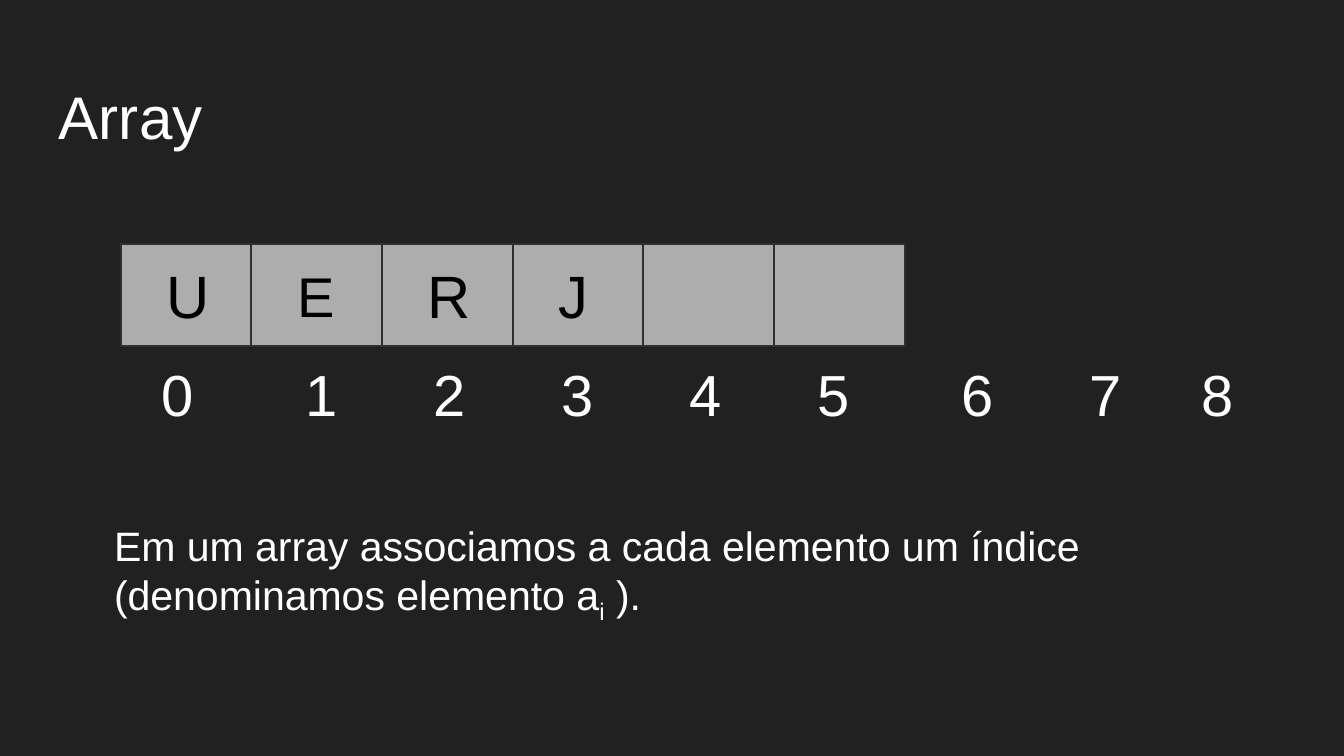
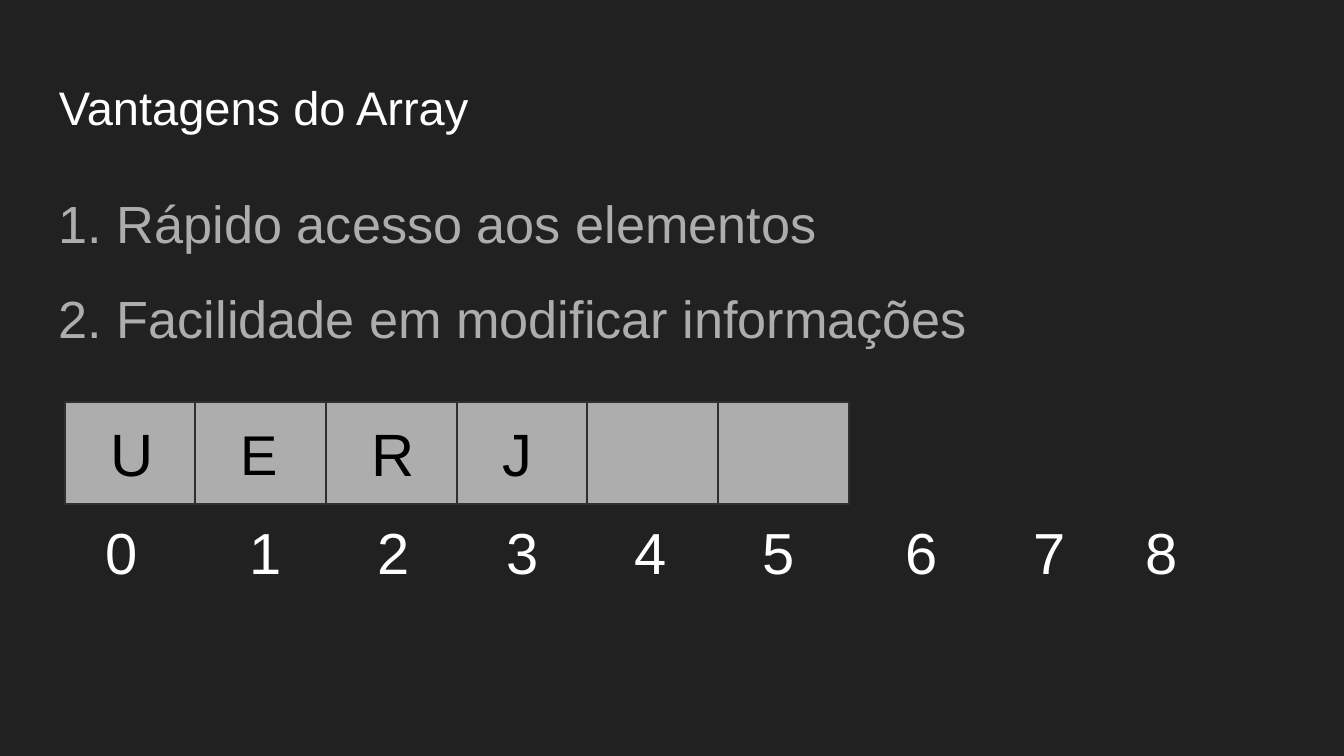
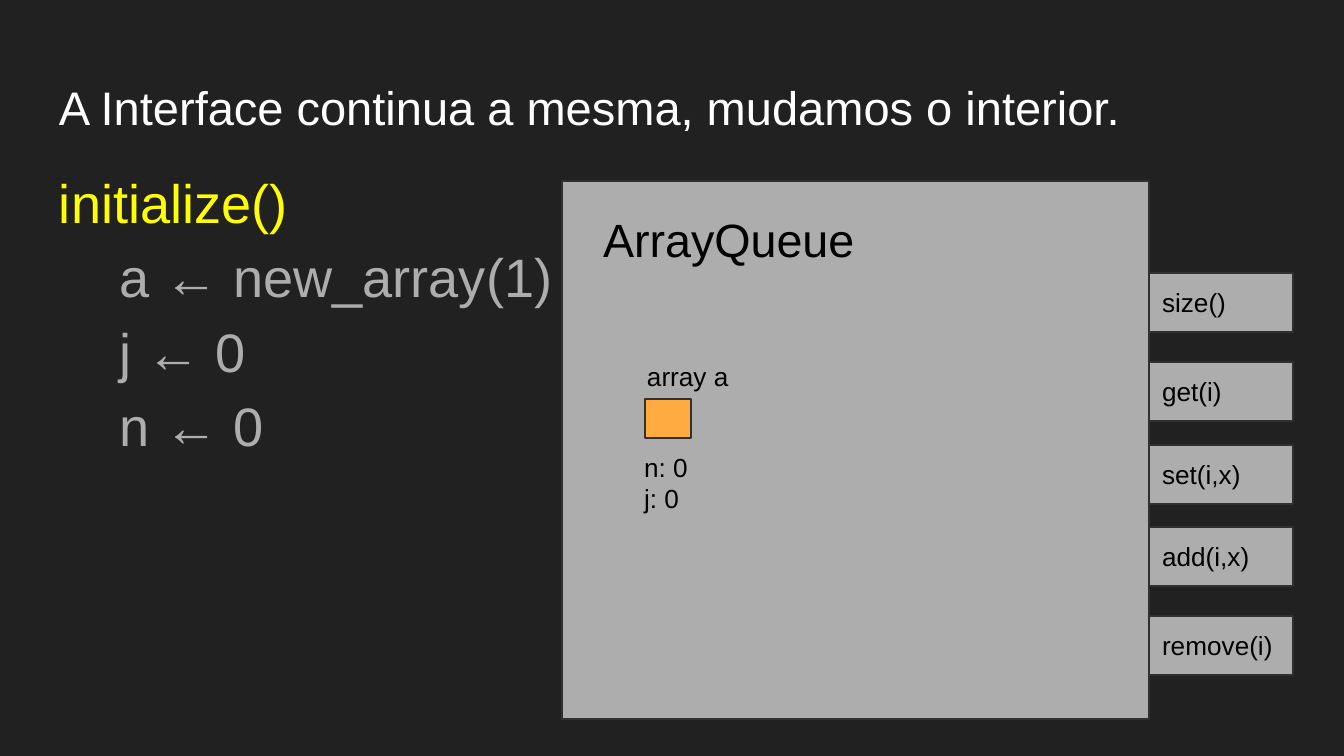
from lxml import etree
from pptx import Presentation
from pptx import util as u
from pptx.dml.color import RGBColor
from pptx.enum import shapes, text
from pptx.oxml import ns

PX = 914400 / 134.4
FONT = "Arial"
INSET = 13
COLORS = {
    "back": "212121",
    "white": "FFFFFF",
    "gray": "ADADAD",
    "edge": "303030",
    "black": "000000",
    "yellow": "FFFF00",
    "orange": "FFAB40",
}
LETTERS = [("U", 32), ("E", 30), ("R", 32), ("J", 32), ("", 32), ("", 32)]
INDEX_STOPS = [144, 272, 400, 528, 656, 800, 928, 1040]


def px(length):
    return u.Emu(round(length * PX))


def rgb(name):
    return RGBColor.from_string(COLORS[name])


class Slides:
    def __init__(self):
        self.deck = Presentation()
        self.deck.slide_width, self.deck.slide_height = px(1344), px(756)
        self.page = None

    def new_page(self, title, size):
        self.page = self.deck.slides.add_slide(self.deck.slide_layouts[6])
        fill = self.page.background.fill
        fill.solid()
        fill.fore_color.rgb = rgb("back")
        self.label(46, 66, 1253, 85, [title], size)

    def frame(self, box, anchor):
        frame = box.text_frame
        frame.word_wrap = True
        frame.vertical_anchor = anchor
        frame.margin_left = frame.margin_right = px(INSET)
        frame.margin_top = frame.margin_bottom = px(INSET)
        return frame

    def span(self, para, words, size, color, baseline=0):
        span = para.add_run()
        span.text = words
        span.font.name = FONT
        span.font.size = u.Pt(size)
        span.font.color.rgb = rgb(color)
        if baseline:
            span._r.get_or_add_rPr().set("baseline", str(baseline * 1000))

    def indent(self, para, length):
        properties = para._p.get_or_add_pPr()
        properties.set("marL", str(px(length)))
        properties.set("indent", "0")

    def tab_stops(self, para, stops):
        tabs = etree.SubElement(para._p.get_or_add_pPr(), ns.qn("a:tabLst"))
        for stop in stops:
            etree.SubElement(tabs, ns.qn("a:tab"), pos=str(px(stop)), algn="l")

    def label(self, left, top, width, height, lines, size, color="white", spacing=None, before=0):
        box = self.page.shapes.add_textbox(px(left), px(top), px(width), px(height))
        frame = self.frame(box, text.MSO_ANCHOR.TOP)
        for number, line in enumerate(lines):
            para = frame.add_paragraph() if number else frame.paragraphs[0]
            if spacing:
                para.line_spacing = spacing
            if number and before:
                para.space_before = u.Pt(before)
            self.span(para, line, size, color)
        return frame.paragraphs

    def rectangle(self, left, top, width, height, words="", size=14, indent=0, color="gray"):
        box = self.page.shapes.add_shape(
            shapes.MSO_SHAPE.RECTANGLE, px(left), px(top), px(width), px(height))
        box.shadow.inherit = False
        box.fill.solid()
        box.fill.fore_color.rgb = rgb(color)
        box.line.color.rgb = rgb("edge")
        box.line.width = u.Pt(0.75)
        if words:
            para = self.frame(box, text.MSO_ANCHOR.MIDDLE).paragraphs[0]
            para.alignment = text.PP_ALIGN.LEFT
            if indent:
                self.indent(para, indent)
            self.span(para, words, size, "black")

    def array(self, left, top):
        width, height = 131, 102
        for index, (letter, size) in enumerate(LETTERS):
            self.rectangle(left + index * 392 // 3, top, width, height, letter, size, indent=33)
        indexes = "\t".join(str(index) for index in range(len(INDEX_STOPS) + 1))
        paras = self.label(left + 28, top + height, 1215, 97, [indexes], 31)
        self.tab_stops(paras[0], INDEX_STOPS)


def array_page(slides):
    slides.new_page("Array", 32.2)
    slides.array(121, 244)
    sentence = "Em um array associamos a cada elemento um índice (denominamos elemento a"
    para = slides.label(101, 507, 1078, 159, [sentence], 22)[0]
    slides.span(para, "i", 22, "white", baseline=-25)
    slides.span(para, " ).", 22, "white")


def advantages_page(slides):
    slides.new_page("Vantagens do Array", 25.2)
    advantages = ["1. Rápido acesso aos elementos", "2. Facilidade em modificar informações"]
    slides.label(46, 169, 1253, 503, advantages, 28, "gray", spacing=1.15, before=12)
    slides.array(65, 402)


def interface_page(slides):
    slides.new_page("A Interface continua a mesma, mudamos o interior.", 25.2)
    code = ["initialize()", "a ← new_array(1)", "j ← 0", "n ← 0"]
    heading, *steps = slides.label(46, 169, 544, 386, code, 29, "gray", spacing=0.8, before=12)
    heading.runs[0].font.color.rgb = rgb("yellow")
    for step in steps:
        slides.indent(step, 60)
    slides.rectangle(562, 181, 587, 538)
    slides.label(590, 198, 302, 83, ["ArrayQueue"], 25, "black")
    slides.label(634, 347, 113, 59, ["array a"], 14, "black")
    slides.rectangle(645, 399, 46, 39, color="orange")
    slides.label(631, 438, 348, 90, ["n: 0", "j: 0"], 14, "black")
    methods = {"size()": 273, "get(i)": 362, "set(i,x)": 445, "add(i,x)": 527, "remove(i)": 616}
    for method, top in methods.items():
        slides.rectangle(1149, top, 144, 59, method)


def main():
    slides = Slides()
    array_page(slides)
    advantages_page(slides)
    interface_page(slides)
    slides.deck.save("out.pptx")


if __name__ == "__main__":
    main()
